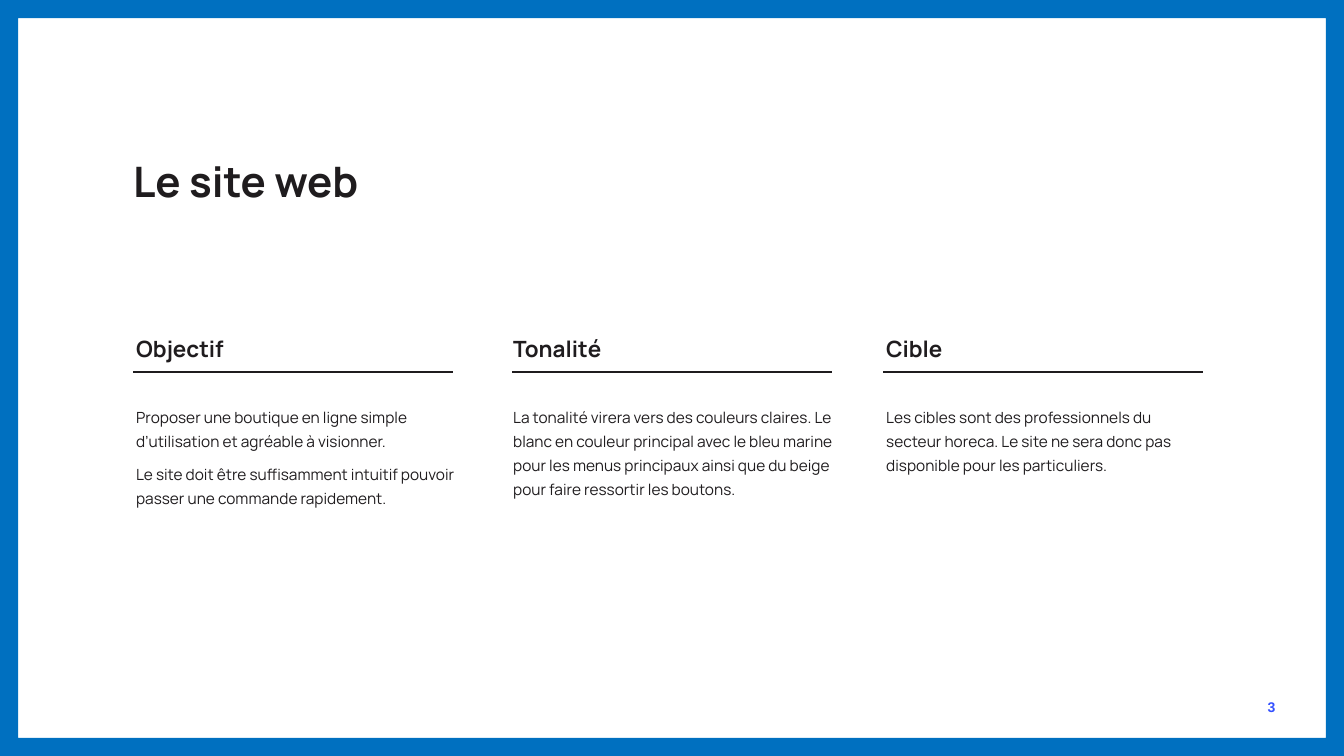
from pptx import Presentation
from pptx.dml.color import RGBColor
from pptx.enum.shapes import MSO_CONNECTOR, MSO_SHAPE
from pptx.enum.text import MSO_ANCHOR, MSO_AUTO_SIZE, PP_ALIGN
from pptx.oxml.ns import qn
from pptx.util import Inches, Pt
from lxml.etree import SubElement

WIDTH, HEIGHT = 13.33, 7.5
BORDER = 0.18
COLUMN_WIDTH = 3.17
COLUMN_TOP, RULE_TOP = 3.35, 3.69
INK, BLUE, NUMBER_BLUE = "1F1C1E", "0070C0", "3350FF"

# Rule left, text left, heading, body paragraphs
COLUMNS = [
    (1.32, 1.35, "Objectif", [
        "Proposer une boutique en ligne simple d’utilisation et agréable à visionner.",
        "Le site doit être suffisamment intuitif pouvoir passer une commande rapidement.",
    ]),
    (5.08, 5.09, "Tonalité", [
        "La tonalité virera vers des couleurs claires. Le blanc en couleur principal "
        "avec le bleu marine pour les menus principaux ainsi que du beige pour faire "
        "ressortir les boutons.",
    ]),
    (8.76, 8.79, "Cible", [
        "Les cibles sont des professionnels du secteur horeca. Le site ne sera donc "
        "pas disponible pour les particuliers.",
    ]),
]


def color(value):
    return RGBColor.from_string(value)


def prepare_frame(shape, anchor=MSO_ANCHOR.TOP):
    """Give the text frame no margins, wrapping and a fixed size."""
    frame = shape.text_frame
    frame.margin_left = frame.margin_right = 0
    frame.margin_top = frame.margin_bottom = 0
    frame.word_wrap = True
    frame.auto_size = MSO_AUTO_SIZE.NONE
    frame.vertical_anchor = anchor
    return frame


def write(para, text, size, bold=False, font="Manrope", fill=INK,
          align=PP_ALIGN.LEFT, before=0, line=None):
    para.alignment = align
    para.space_before = Pt(before)
    if line:
        para.line_spacing = Pt(line)
    span = para.add_run()
    span.text = text
    span.font.name = font
    span.font.size = Pt(size)
    span.font.bold = bold
    span.font.color.rgb = color(fill)


def add_border(page):
    border = page.shapes.add_shape(
        MSO_SHAPE.FRAME, 0, 0, Inches(WIDTH), Inches(HEIGHT))
    border.adjustments[0] = BORDER / HEIGHT
    border.shadow.inherit = False
    border.fill.solid()
    border.fill.fore_color.rgb = color(BLUE)
    border.line.fill.background()


def add_rule(page, left, top, width):
    rule = page.shapes.add_connector(
        MSO_CONNECTOR.STRAIGHT, Inches(left), Inches(top),
        Inches(left + width), Inches(top))
    rule.line.color.rgb = color(INK)
    rule.line.width = Pt(1)
    SubElement(rule._element.spPr, qn("a:effectLst"))


def add_column(page, rule_left, text_left, heading, body):
    box = page.shapes.add_textbox(
        Inches(text_left), Inches(COLUMN_TOP), Inches(COLUMN_WIDTH), Inches(2.4))
    frame = prepare_frame(box)
    write(frame.paragraphs[0], heading, 16, bold=True, line=17.2)
    for index, text in enumerate(body):
        write(frame.add_paragraph(), text, 11, line=17.2,
              before=6 if index else 29.2)
    add_rule(page, rule_left, RULE_TOP, COLUMN_WIDTH)


def set_title(page, text):
    title = page.shapes.title
    title.left, title.top = Inches(1.32), Inches(1.54)
    title.width, title.height = Inches(4.73), Inches(0.66)
    write(prepare_frame(title).paragraphs[0], text, 30, bold=True)


def add_page_number(page, number):
    box = page.shapes.add_textbox(
        Inches(12.07), Inches(6.82), Inches(0.58), Inches(0.38))
    frame = prepare_frame(box, MSO_ANCHOR.MIDDLE)
    write(frame.paragraphs[0], number, 10, bold=True, font="Arial",
          fill=NUMBER_BLUE, align=PP_ALIGN.RIGHT)


def main():
    deck = Presentation()
    deck.slide_width, deck.slide_height = Inches(WIDTH), Inches(HEIGHT)
    page = deck.slides.add_slide(deck.slide_layouts.get_by_name("Title Only"))
    page.background.fill.solid()
    page.background.fill.fore_color.rgb = color("FFFFFF")
    add_border(page)
    set_title(page, "Le site web")
    for column in COLUMNS:
        add_column(page, *column)
    add_page_number(page, "3")
    deck.save("out.pptx")


if __name__ == "__main__":
    main()
